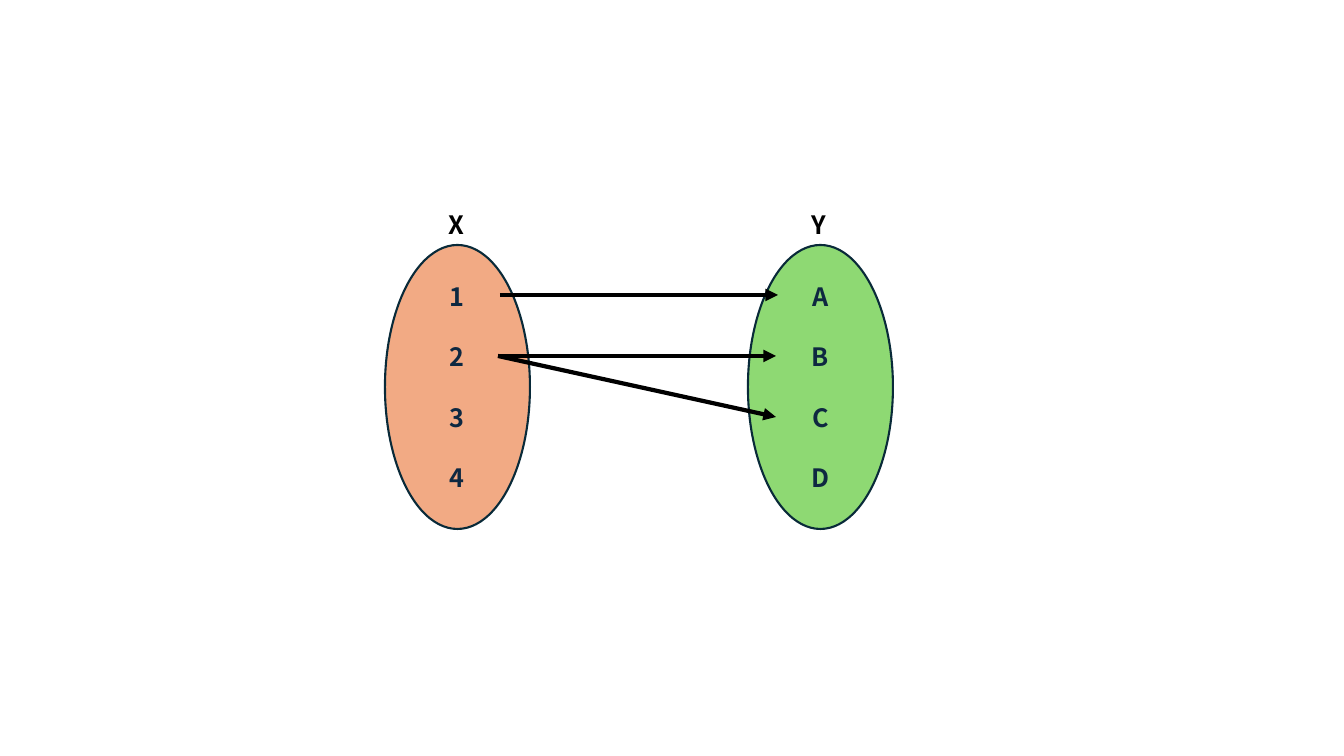
from dataclasses import dataclass

from lxml import etree
from pptx import Presentation
from pptx import util as u
from pptx.dml.color import RGBColor
from pptx.enum import shapes, text
from pptx.oxml import ns

EMU_PER_PX = 914400 / 100.8


@dataclass(frozen=True)
class Theme:
    """Colours, font and sizes of the slide."""
    font: str = "Noto Sans CJK KR"
    size: float = 18
    line_height: float = 21.6
    black: str = "000000"
    member: str = "0E2841"
    outline: str = "092A39"
    domain: str = "F2AA84"
    codomain: str = "8ED973"
    outline_width: float = 1.5
    arrow_width: float = 3


THEME = Theme()


def px(length):
    """Turn pixels into EMU."""
    return u.Emu(round(length * EMU_PER_PX))


def write_lines(frame, lines, colour, alignment):
    """Write bold lines with one line of space between them."""
    frame.text = "\n".join(lines)
    for index, para in enumerate(frame.paragraphs):
        para.alignment = alignment
        para.line_spacing = u.Pt(THEME.line_height)
        para.space_before = u.Pt(THEME.line_height if index else 0)
        for span in para.runs:
            span.font.name = THEME.font
            span.font.size = u.Pt(THEME.size)
            span.font.bold = True
            span.font.color.rgb = RGBColor.from_string(colour)


def add_set(page, box, name, members, fill):
    """Draw a named set as an ellipse that lists its members."""
    left, top, width, height = box
    oval = page.shapes.add_shape(
        shapes.MSO_SHAPE.OVAL, px(left), px(top), px(width), px(height))
    oval.shadow.inherit = False
    oval.fill.solid()
    oval.fill.fore_color.rgb = RGBColor.from_string(fill)
    oval.line.color.rgb = RGBColor.from_string(THEME.outline)
    oval.line.width = u.Pt(THEME.outline_width)
    oval.text_frame.vertical_anchor = text.MSO_ANCHOR.MIDDLE
    write_lines(oval.text_frame, members, THEME.member, text.PP_ALIGN.CENTER)

    label_width = 37
    label = page.shapes.add_textbox(
        px(left + (width - label_width) / 2), px(top - 41), px(label_width), px(40))
    label.text_frame.word_wrap = False
    write_lines(label.text_frame, [name], THEME.black, text.PP_ALIGN.LEFT)


def add_arrow(page, start, end):
    """Draw a thick arrow from start to end."""
    arrow = page.shapes.add_connector(
        shapes.MSO_CONNECTOR.STRAIGHT, *map(px, start + end))
    arrow.line.color.rgb = RGBColor.from_string(THEME.black)
    arrow.line.width = u.Pt(THEME.arrow_width)
    etree.SubElement(arrow.line._get_or_add_ln(), ns.qn("a:tailEnd"), type="triangle")
    etree.SubElement(arrow._element.spPr, ns.qn("a:effectLst"))


def add_mapping(page, box):
    """Draw two sets side by side and the arrows that relate their members."""
    left, top, width, height = box
    set_width = 145
    right = left + width - set_width
    add_set(page, (left, top, set_width, height), "X", "1234", THEME.domain)
    add_set(page, (right, top, set_width, height), "Y", "ABCD", THEME.codomain)

    tail, head = left + 113, right + 28
    first, second, third = (top + 50 + 61 * row for row in range(3))
    add_arrow(page, (tail + 2, first), (head + 2, first))
    for target in (second, third):
        add_arrow(page, (tail, second), (head, target))


def main():
    """Build the slide and save it."""
    deck = Presentation()
    deck.slide_width, deck.slide_height = px(1344), px(756)
    page = deck.slides.add_slide(deck.slide_layouts[6])
    add_mapping(page, (385, 245, 508, 284))
    deck.save("out.pptx")


if __name__ == "__main__":
    main()
